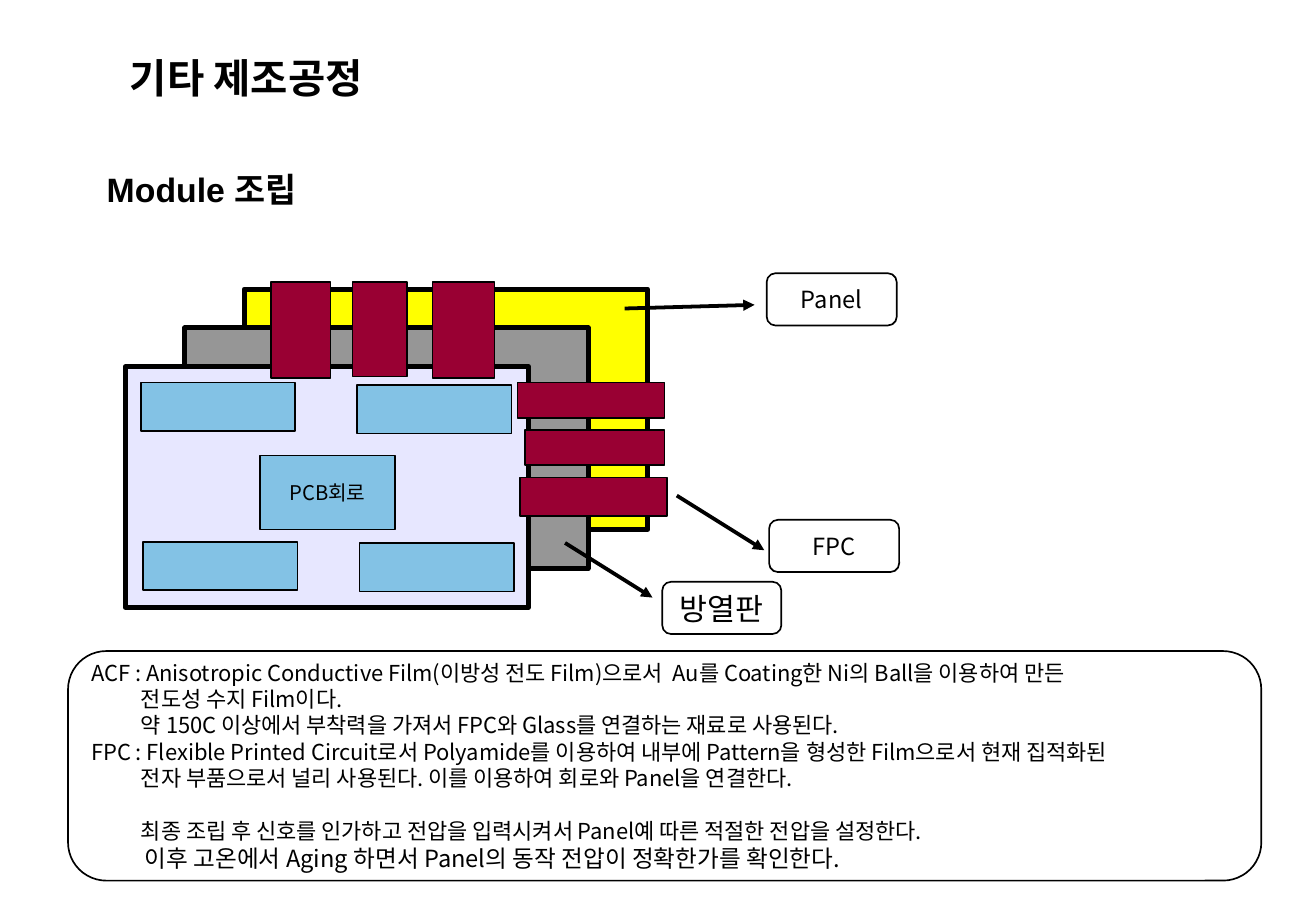
from typing import NamedTuple, Optional

import pptx
import pptx.dml.color
import pptx.enum.shapes
import pptx.enum.text
import pptx.oxml.ns
import pptx.util
from lxml import etree

RGB = pptx.dml.color.RGBColor
SHAPE = pptx.enum.shapes.MSO_SHAPE
ALIGN = pptx.enum.text.PP_ALIGN
ANCHOR = pptx.enum.text.MSO_ANCHOR
qn = pptx.oxml.ns.qn

PX = 9144
BLACK = RGB(0, 0, 0)
YELLOW = RGB(0xFF, 0xFF, 0x00)
GRAY = RGB(0x96, 0x96, 0x96)
LAVENDER = RGB(0xE7, 0xE7, 0xFF)
MAROON = RGB(0x99, 0x00, 0x33)
BLUE = RGB(0x83, 0xC2, 0xE5)
KOREAN = "Noto Sans CJK KR"


class Block(NamedTuple):
    x: int
    y: int
    w: int
    h: int
    fill: Optional[RGB] = None
    line: float = 1
    text: str = ""
    size: float = 14


class Arrow(NamedTuple):
    x1: int
    y1: int
    x2: int
    y2: int


class Note(NamedTuple):
    text: str
    indent: int = 41
    before: float = 0
    size: float = 13


PLATES = [Block(201 - 49 * i, 238 + 32 * i, 332, 198, fill, 3)
          for i, fill in enumerate((YELLOW, GRAY, LAVENDER))]
FILMS = [Block(*box, MAROON) for box in (
    (426, 315, 121, 29), (432, 354, 115, 29), (428, 393, 121, 32),
    (223, 232, 49, 79), (290, 232, 45, 78), (356, 232, 51, 79))]
CIRCUITS = [Block(214, 375, 111, 61, BLUE, text="PCB회로", size=12)] + [
    Block(x, y, 127, 40, BLUE)
    for x, y in ((116, 315), (294, 317), (118, 446), (296, 447))]
LABELS = [
    Block(545, 479, 98, 43, text="방열판", size=18),
    Block(633, 428, 107, 43, text="FPC"),
    Block(631, 225, 107, 43, text="Panel"),
]
ARROWS = [Arrow(465, 447, 537, 492), Arrow(557, 408, 629, 453), Arrow(514, 254, 621, 251)]
NOTES = [
    Note("ACF : Anisotropic Conductive Film(이방성 전도 Film)으로서  Au를 Coating한 Ni의 Ball을 이용하여 만든", 0),
    Note("전도성 수지 Film이다."),
    Note("약 150C 이상에서 부착력을 가져서 FPC와 Glass를 연결하는 재료로 사용된다."),
    Note("FPC : Flexible Printed Circuit로서 Polyamide를 이용하여 내부에 Pattern을 형성한 Film으로서 현재 집적화된", 0),
    Note("전자 부품으로서 널리 사용된다. 이를 이용하여 회로와 Panel을 연결한다."),
    Note("최종 조립 후 신호를 인가하고 전압을 입력시켜서 Panel예 따른 적절한 전압을 설정한다.", before=16),
    Note("이후 고온에서 Aging 하면서 Panel의 동작 전압이 정확한가를 확인한다.", 44, size=14),
]


def write(p, text: str, *, size: float, font: str = KOREAN, bold: bool = False,
          align=ALIGN.LEFT, indent: int = 0, before: float = 0) -> None:
    """Fill a paragraph with one formatted run."""
    p.alignment = align
    p.space_before = pptx.util.Pt(before)
    if indent:
        p._p.get_or_add_pPr().set("marL", str(indent * PX))
    r = p.add_run()
    r.text = text
    r.font.name = font
    r.font.size = pptx.util.Pt(size)
    r.font.bold = bold
    r.font.color.rgb = BLACK
    etree.SubElement(r._r.get_or_add_rPr(), qn("a:ea")).set("typeface", KOREAN)


def add_heading(s, x: int, y: int, w: int, h: int, text: str, size: float) -> None:
    """Add a bold heading in a text box."""
    tf = s.shapes.add_textbox(x * PX, y * PX, w * PX, h * PX).text_frame
    tf.word_wrap = True
    write(tf.paragraphs[0], text, size=size, font="Arial", bold=True)


def add_block(s, block: Block, kind=SHAPE.RECTANGLE):
    """Add an outlined shape with optional fill and centred text."""
    sp = s.shapes.add_shape(kind, block.x * PX, block.y * PX, block.w * PX, block.h * PX)
    sp.shadow.inherit = False
    if block.fill is None:
        sp.fill.background()
    else:
        sp.fill.solid()
        sp.fill.fore_color.rgb = block.fill
    sp.line.color.rgb = BLACK
    sp.line.width = pptx.util.Pt(block.line)
    tf = sp.text_frame
    tf.word_wrap = False
    tf.vertical_anchor = ANCHOR.MIDDLE
    if block.text:
        write(tf.paragraphs[0], block.text, size=block.size, align=ALIGN.CENTER)
    return sp


def add_arrow(s, arrow: Arrow) -> None:
    """Add a straight arrow."""
    c = s.shapes.add_connector(pptx.enum.shapes.MSO_CONNECTOR.STRAIGHT, *(v * PX for v in arrow))
    c.line.color.rgb = BLACK
    c.line.width = pptx.util.Pt(2.25)
    etree.SubElement(c.line._get_or_add_ln(), qn("a:tailEnd")).set("type", "triangle")
    etree.SubElement(c._element.spPr, qn("a:effectLst"))


def add_notes(s) -> None:
    """Add the rounded box of explanations."""
    tf = add_block(s, Block(56, 536, 982, 189), SHAPE.ROUNDED_RECTANGLE).text_frame
    for i, note in enumerate(NOTES):
        p = tf.add_paragraph() if i else tf.paragraphs[0]
        write(p, note.text, size=note.size, indent=note.indent, before=note.before)


def main() -> None:
    """Build the slide and save it."""
    prs = pptx.Presentation()
    prs.slide_width, prs.slide_height = 1083 * PX, 750 * PX
    s = prs.slides.add_slide(prs.slide_layouts[6])
    add_heading(s, 97, 39, 923, 61, "기타 제조공정", 24)
    add_heading(s, 78, 134, 921, 542, "Module 조립", 20)
    for block in PLATES + FILMS + CIRCUITS:
        add_block(s, block)
    for label in LABELS:
        add_block(s, label, SHAPE.ROUNDED_RECTANGLE)
    for arrow in ARROWS:
        add_arrow(s, arrow)
    add_notes(s)
    prs.save("out.pptx")


if __name__ == "__main__":
    main()
